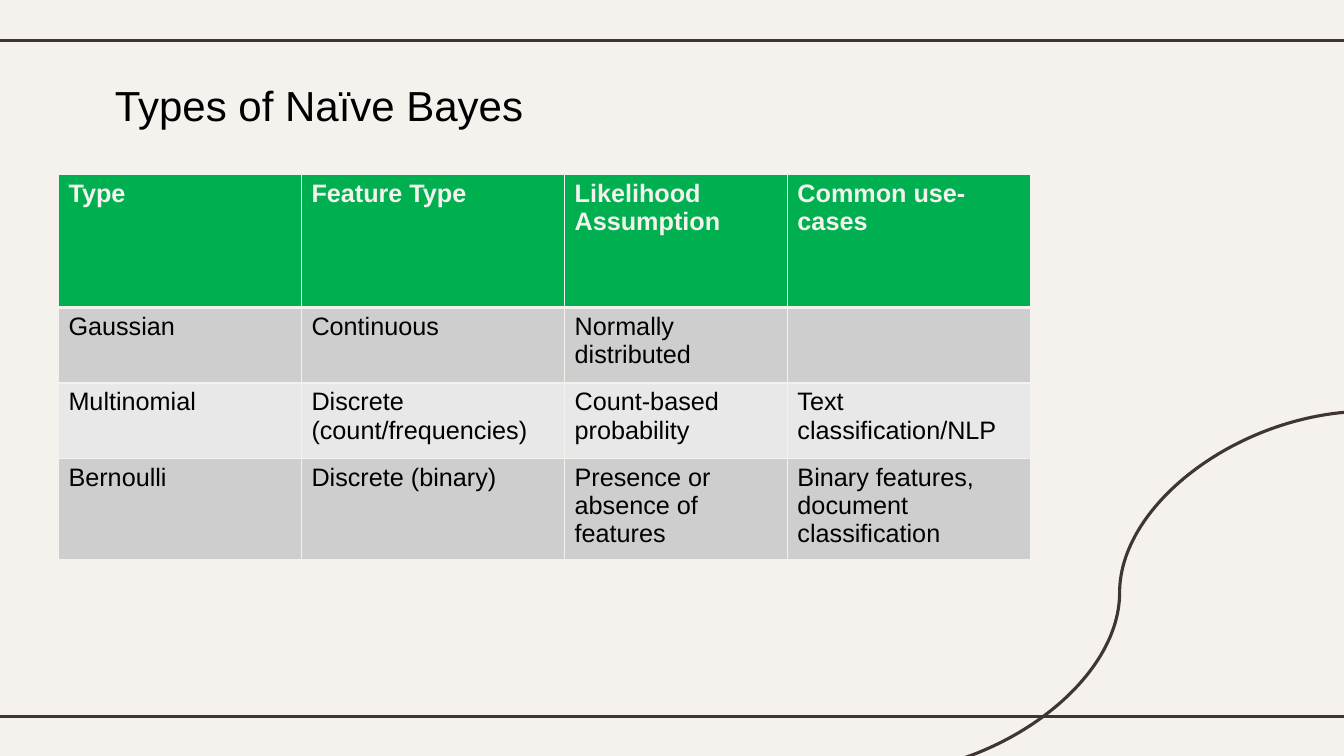
import pptx
import pptx.dml.color
import pptx.enum.shapes
import pptx.enum.text
import pptx.oxml
import pptx.oxml.ns
import pptx.util
from pptx.util import Inches

COLORS = {
    "background": "F5F2EE",
    "line": "3F3533",
    "text": "000000",
    "header": "00B050",
    "dark_band": "CFCECE",
    "light_band": "E8E8E8",
}
FONT = "Arial"
COLUMN_WIDTHS = [2.41, 2.61, 2.21, 2.41]
ROW_HEIGHTS = [1.32, 0.75, 0.75, 0.94]
ROWS = [
    ["Type", "Feature Type", "Likelihood Assumption", "Common use-cases"],
    ["Gaussian", "Continuous", "Normally distributed", ""],
    ["Multinomial", "Discrete (count/frequencies)", "Count-based probability",
     "Text classification/NLP"],
    ["Bernoulli", "Discrete (binary)", "Presence or absence of features",
     "Binary features, document classification"],
]


def rgb(name):
    return pptx.dml.color.RGBColor.from_string(COLORS[name])


def format_text(text_frame, size, color, bold=False):
    for paragraph in text_frame.paragraphs:
        for item in [paragraph, *paragraph.runs]:
            item.font.name = FONT
            item.font.size = pptx.util.Pt(size)
            item.font.bold = bold
            item.font.color.rgb = rgb(color)


def add_line(slide, kind, start, end):
    points = [Inches(value) for value in (*start, *end)]
    connector = slide.shapes.add_connector(kind, *points)
    connector.line.color.rgb = rgb("line")
    connector.line.width = pptx.util.Pt(2.25)
    connector._element.spPr.append(pptx.oxml.parse_xml(
        f'<a:effectLst {pptx.oxml.ns.nsdecls("a")}/>'))


def add_title(slide, text):
    shape = slide.shapes.add_textbox(
        Inches(1.04), Inches(0.65), Inches(8.28), Inches(0.84))
    text_frame = shape.text_frame
    text_frame.word_wrap = True
    text_frame.vertical_anchor = pptx.enum.text.MSO_ANCHOR.MIDDLE
    text_frame.margin_left = text_frame.margin_right = Inches(0.1)
    text_frame.margin_top = text_frame.margin_bottom = Inches(0.1)
    text_frame.text = text
    text_frame.paragraphs[0].line_spacing = 0.9
    format_text(text_frame, 30, "text")


def set_borders(cell, bottom_width):
    """Draw all four sides; the borders must precede the cell's fill."""
    properties = cell._tc.get_or_add_tcPr()
    widths = {"lnL": 1, "lnR": 1, "lnT": 1, "lnB": bottom_width}
    for position, (side, width) in enumerate(widths.items()):
        properties.insert(position, pptx.oxml.parse_xml(
            f'<a:{side} {pptx.oxml.ns.nsdecls("a")} w="{pptx.util.Pt(width)}">'
            f'<a:solidFill><a:srgbClr val="{COLORS["background"]}"/></a:solidFill>'
            f'</a:{side}>'))


def add_types_table(slide):
    table = slide.shapes.add_table(
        len(ROWS), len(COLUMN_WIDTHS), Inches(0.58), Inches(1.73),
        Inches(sum(COLUMN_WIDTHS)), Inches(sum(ROW_HEIGHTS))).table
    for column, width in zip(table.columns, COLUMN_WIDTHS):
        column.width = Inches(width)
    for index, (row, height, texts) in enumerate(zip(table.rows, ROW_HEIGHTS, ROWS)):
        row.height = Inches(height)
        is_header = index == 0
        band = "dark_band" if index % 2 else "light_band"
        for cell, text in zip(row.cells, texts):
            cell.text = text
            format_text(cell.text_frame, 18,
                        "background" if is_header else "text", is_header)
            cell.fill.solid()
            cell.fill.fore_color.rgb = rgb("header" if is_header else band)
            set_borders(cell, 3 if is_header else 1)


def main():
    presentation = pptx.Presentation()
    presentation.slide_width = Inches(13.33)
    presentation.slide_height = Inches(7.5)
    slide = presentation.slides.add_slide(presentation.slide_layouts[6])
    slide.background.fill.solid()
    slide.background.fill.fore_color.rgb = rgb("background")

    connectors = pptx.enum.shapes.MSO_CONNECTOR
    for y in (0.4, 7.11):
        add_line(slide, connectors.STRAIGHT, (-0.11, y), (13.44, y))
    add_line(slide, connectors.CURVE, (13.57, 4.08), (8.64, 7.68))
    add_title(slide, "Types of Naïve Bayes")
    add_types_table(slide)
    presentation.save("out.pptx")


if __name__ == "__main__":
    main()
